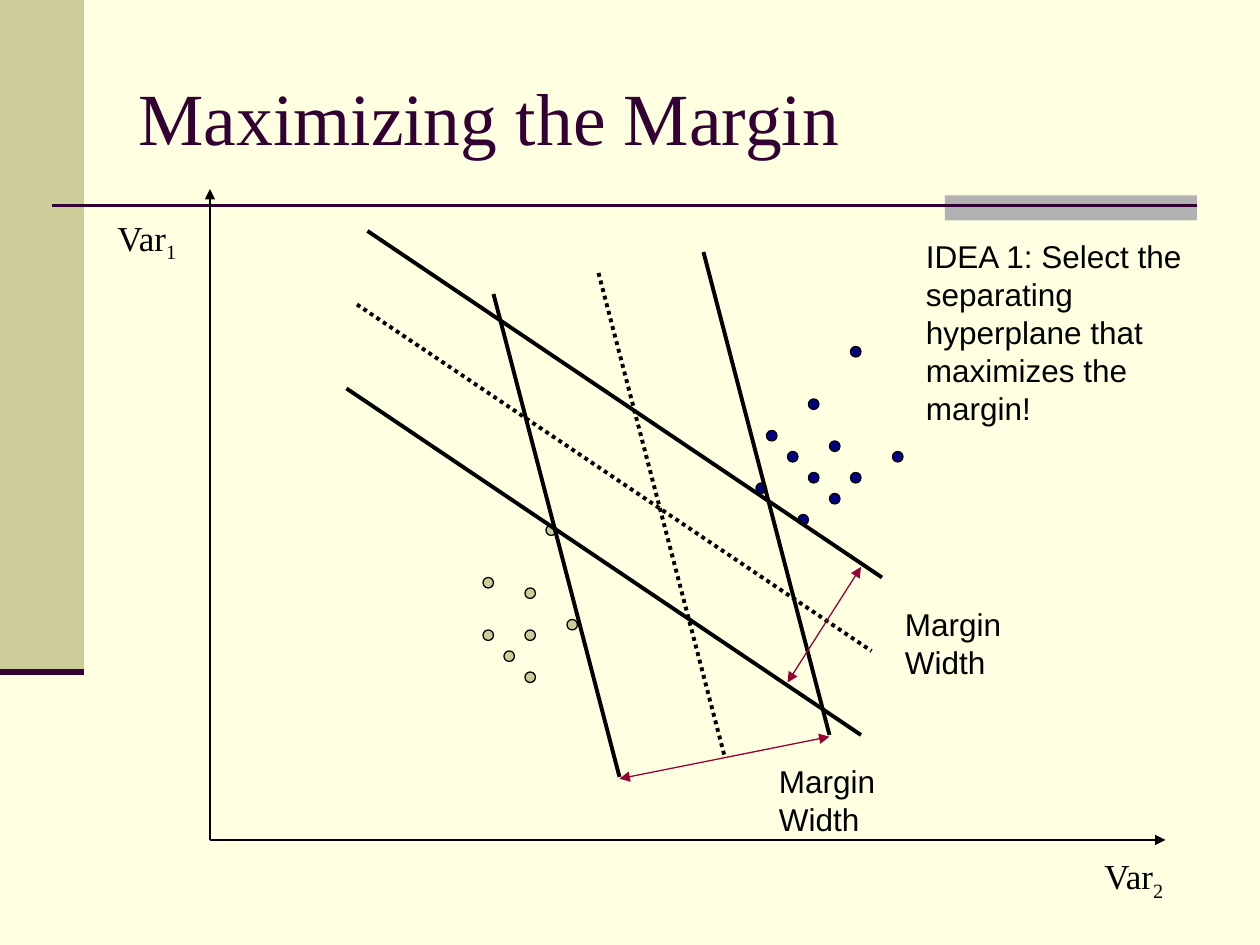
from pptx import Presentation
from pptx.dml.color import RGBColor
from pptx.enum.dml import MSO_LINE
from pptx.enum.shapes import MSO_CONNECTOR, MSO_SHAPE
from pptx.enum.text import MSO_ANCHOR, MSO_AUTO_SIZE, PP_ALIGN
from pptx.oxml.ns import qn
from pptx.util import Pt
from lxml import etree

rgb = RGBColor.from_string
BLACK, PLUM, RED, KHAKI, NAVY = "000000", "330033", "990033", "CCCC99", "000080"

prs = Presentation()
prs.slide_width, prs.slide_height = Pt(720), Pt(540)
s = prs.slides.add_slide(prs.slide_layouts[5])
s.background.fill.solid()
s.background.fill.fore_color.rgb = rgb("FFFFE1")


def add_filled(kind, x, y, w, h, color):
    sp = s.shapes.add_shape(kind, Pt(x), Pt(y), Pt(w), Pt(h))
    sp.shadow.inherit = False
    sp.fill.solid()
    sp.fill.fore_color.rgb = rgb(color)
    sp.line.fill.background()
    return sp


def add_line(x1, y1, x2, y2, color, width, dash=None, arrows=()):
    c = s.shapes.add_connector(MSO_CONNECTOR.STRAIGHT, Pt(x1), Pt(y1), Pt(x2), Pt(y2))
    c.line.color.rgb = rgb(color)
    c.line.width = Pt(width)
    if dash:
        c.line.dash_style = dash
    ln = c.line._get_or_add_ln()
    for end in arrows:
        etree.SubElement(ln, qn(f"a:{end}"), type="triangle")
    etree.SubElement(c._element.spPr, qn("a:effectLst"))


# Side band, accent bar and rules
add_filled(MSO_SHAPE.RECTANGLE, 0, 0, 48, 384, KHAKI)
add_filled(MSO_SHAPE.RECTANGLE, 540, 111.6, 144, 14.4, "B2B2B2")
add_line(30, 117.5, 684, 117.5, PLUM, 1.5)
add_line(0, 384, 48, 384, PLUM, 3.5)

# Title
title = s.shapes.title
title.left, title.top, title.width, title.height = Pt(72), Pt(21.6), Pt(612), Pt(90)
tf = title.text_frame
tf.text = "Maximizing the Margin"
tf.auto_size = MSO_AUTO_SIZE.NONE
tf.vertical_anchor = MSO_ANCHOR.MIDDLE
p = tf.paragraphs[0]
p.alignment = PP_ALIGN.LEFT
p.font.name, p.font.size = "Times New Roman", Pt(42)
p.font.color.rgb = rgb(PLUM)

# Axes from a shared origin
for x, y in [(666, 480), (120, 108)]:
    add_line(120, 480, x, y, BLACK, 0.75, arrows=["tailEnd"])

# Data points of the two classes (left, top)
classes = {
    KHAKI: [(276, 360), (288, 372), (300, 360), (300, 336), (312, 300),
            (324, 354), (300, 384), (276, 330)],
    NAVY: [(438, 246), (450, 258), (462, 270), (474, 282), (474, 252), (456, 294),
           (486, 270), (432, 276), (486, 198), (510, 258), (462, 228)],
}
for color, points in classes.items():
    for x, y in points:
        dot = add_filled(MSO_SHAPE.OVAL, x, y, 6, 6, color)
        dot.line.color.rgb = rgb(BLACK)
        dot.line.width = Pt(0.75)

# Two hyperplanes: run, rise, start of the dotted middle, offset to each margin
for dx, dy, x0, y0, ox, oy in [(72, 276, 342, 156, 60, -12), (294, 198, 204, 174, 6, -45)]:
    for side, dash in [(-1, None), (0, MSO_LINE.ROUND_DOT), (1, None)]:
        x, y = x0 + side * ox, y0 + side * oy
        if oy == -45 and side:
            y += 3 if side == -1 else 3
        add_line(x, y, x + dx, y + dy, BLACK, 2.25, dash)

# Margin width arrows
for ends in [(354, 445, 474, 421), (492, 324, 450, 390)]:
    add_line(*ends, RED, 0.75, arrows=["headEnd", "tailEnd"])

# Labels: box, font, size, line spacing, text, subscript
labels = [
    (60, 120, 54, 34.6, "Times New Roman", 20, None, "Var", "1"),
    (624, 484.6, 54, 34.6, "Times New Roman", 20, None, "Var", "2"),
    (438, 432, 78, 50.4, "Arial", 18, 21.7, "Margin Width", ""),
    (510, 342, 78, 50.4, "Arial", 18, 21.7, "Margin Width", ""),
    (522, 132, 168, 115.2, "Arial", 18, 21.7,
     "IDEA 1: Select the separating hyperplane that maximizes the margin!", ""),
]
for x, y, w, h, font, size, spacing, text, sub in labels:
    tf = s.shapes.add_textbox(Pt(x), Pt(y), Pt(w), Pt(h)).text_frame
    tf.word_wrap = True
    p = tf.paragraphs[0]
    if spacing:
        p.line_spacing = Pt(spacing)
    p.font.name, p.font.size = font, Pt(size)
    p.font.color.rgb = rgb(BLACK)
    p.add_run().text = text
    if sub:
        r = p.add_run()
        r.text = sub
        r.font._element.set("baseline", "-25000")

prs.save("out.pptx")
